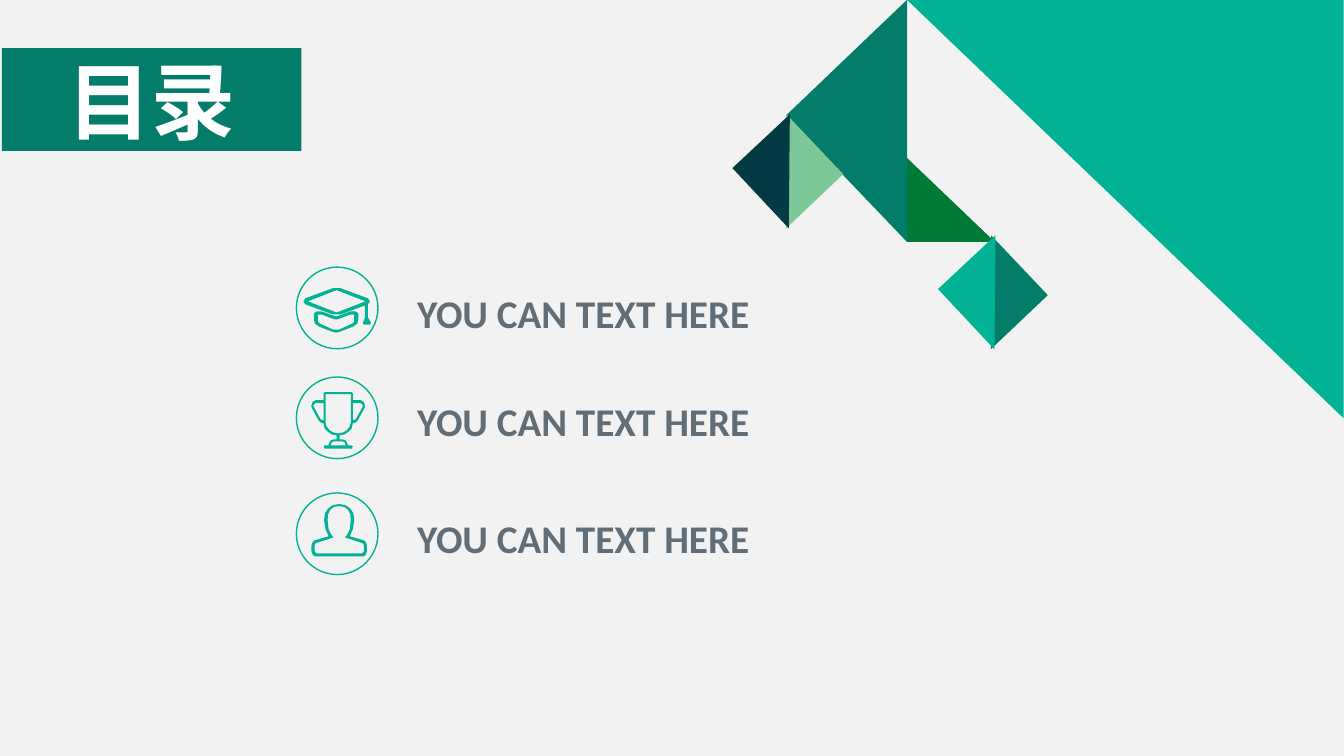
from pptx import Presentation
from pptx.dml.color import RGBColor
from pptx.enum.shapes import MSO_SHAPE as Preset
from pptx.enum.text import MSO_ANCHOR as Anchor, MSO_AUTO_SIZE as AutoSize, PP_ALIGN as Align
from pptx.util import Pt

PALE = RGBColor(0xF2, 0xF2, 0xF2)
WHITE = RGBColor(0xFF, 0xFF, 0xFF)
TEAL = RGBColor(0x02, 0xB2, 0x95)
DARK_TEAL = RGBColor(0x03, 0x7D, 0x6A)
GREEN = RGBColor(0x00, 0x7A, 0x37)
MINT = RGBColor(0x7E, 0xC7, 0x99)
NAVY = RGBColor(0x05, 0x3A, 0x44)
GREY = RGBColor(0x61, 0x6E, 0x77)


def whole(half):
    """Outline made of a right half, listed top to bottom, and its mirror."""
    return half + flipped(half)[::-1]


def flipped(points):
    return [(-x, y) for x, y in points]


# Outlines: x from the icon's axis, y from the top of its ring, in icon units
UNIT = 0.72  # points per icon unit
CAP_BASE = [
    whole([(0, 49), (3, 48), (14, 44), (19, 44), (21, 45), (22, 46), (22, 52),
           (21, 56), (17, 59), (4, 64), (0, 65)]),
    whole([(0, 52), (4, 51), (14, 47), (18, 47), (18, 54), (16, 56), (3, 62), (0, 62)]),
]
CAP_BOARD = [
    whole([(0, 21), (4, 21), (31, 31), (33, 34), (31, 37), (4, 47), (0, 47)]),
    whole([(0, 23), (3, 24), (28.5, 34), (3, 44), (0, 45)]),
    [(28, 38.1), (31, 37), (31, 50), (34, 55), (33, 57), (27, 57), (26, 56), (28, 50)],
]
HANDLE = [(14.5, 26), (22.5, 26), (24.5, 28), (24.5, 29), (17.5, 42), (14.5, 43)]
TROPHY = [
    whole([(0, 15), (13, 15), (14.5, 16), (14.5, 23), (22.5, 23), (25.5, 25),
           (26.5, 28), (26.5, 30), (19.5, 43), (17.5, 45), (14.5, 46), (13.5, 51),
           (10.5, 54), (6.5, 57), (1.5, 58), (1.5, 62), (4.5, 62), (7.5, 63),
           (9.5, 67), (9.5, 68), (13.5, 68), (14.5, 69), (13.5, 71), (0, 71)]),
    whole([(0, 17), (12.5, 17), (12.5, 45), (11.5, 49), (8.5, 53), (5, 55), (0, 56)]),
    whole([(0, 64), (4.5, 64), (6.5, 65), (7.5, 68), (0, 68)]),
    HANDLE,
    flipped(HANDLE),
]
PERSON = [
    whole([(0, 11), (6, 12), (10.5, 15), (14, 20), (15, 27), (13.5, 36), (10.5, 43),
           (24.5, 47), (26.5, 49), (27.5, 52), (27.5, 58), (26.5, 61), (24.5, 63),
           (22.5, 63), (0, 63)]),
    whole([(0, 13), (5.5, 14), (9, 17), (11, 21), (11.5, 27), (10.5, 36), (7.5, 42),
           (5.5, 44), (23.5, 50), (24.5, 52), (24.5, 58), (22.5, 60), (0, 60)]),
]

# Ring top, label top, label, icon parts as (axis, outlines)
ENTRIES = [
    (190.8, 203, "YOU CAN TEXT HERE", [(240.1, CAP_BASE), (240.5, CAP_BOARD)]),
    (269.3, 280, "YOU CAN TEXT HERE", [(241.6, TROPHY)]),
    (352.1, 363.6, "YOU CAN TEXT HERE", [(242.3, PERSON)]),
]
RING_LEFT, RING_SIZE = 211.7, 58.3
LABEL_LEFT, LABEL_WIDTH, LABEL_HEIGHT = 290.9, 311, 41

TITLE, TITLE_BOX = "目录", (1.4, 34.4, 214, 73.4)

# Left, top, width, height, rotation, colour
TRIANGLES = [
    (654.5, -6.5, 298.8, 311.8, 270, TEAL),
    (588.2, 23.8, 119.5, 125.3, 136.3, DARK_TEAL),
    (649.4, 111.6, 59.8, 62.6, 90, GREEN),
    (533.5, 92.9, 56.2, 59, 316.5, MINT),
    (535.7, 92.9, 56.2, 59, 136.9, NAVY),
    (679.7, 179.3, 56.2, 59, 316.5, DARK_TEAL),
    (682.6, 179.3, 56.2, 59, 136.9, TEAL),
]


def paint(shape, fill=None, line=None):
    shape.shadow.inherit = False
    if fill is None:
        shape.fill.background()
    else:
        shape.fill.solid()
        shape.fill.fore_color.rgb = fill
    if line is None:
        shape.line.fill.background()
    else:
        shape.line.color.rgb = line
        shape.line.width = Pt(1)


def add_preset(page, preset, bounds, fill=None, line=None):
    shape = page.shapes.add_shape(preset, *map(Pt, bounds))
    paint(shape, fill, line)
    return shape


def add_icon(page, axis, top, outlines):
    builder = None
    for outline in outlines:
        points = [(Pt(axis + x * UNIT), Pt(top + y * UNIT)) for x, y in outline]
        if builder is None:
            builder = page.shapes.build_freeform(*points[0])
        else:
            builder.move_to(*points[0])
        builder.add_line_segments(points[1:], close=True)
    paint(builder.convert_to_shape(), TEAL)


def write(shape, text, size, color, align, frame_format):
    frame = shape.text_frame
    for name, value in frame_format.items():
        setattr(frame, name, value)
    para = frame.paragraphs[0]
    para.alignment = align
    span = para.add_run()
    span.text = text
    for name, value in {"name": "Calibri", "size": Pt(size), "bold": True}.items():
        setattr(span.font, name, value)
    span.font.color.rgb = color


def main():
    deck = Presentation()
    deck.slide_width, deck.slide_height = Pt(960), Pt(540)
    page = deck.slides.add_slide(deck.slide_layouts[6])
    page.background.fill.solid()
    page.background.fill.fore_color.rgb = PALE

    for *bounds, rotation, color in TRIANGLES:
        triangle = add_preset(page, Preset.ISOSCELES_TRIANGLE, bounds, color)
        triangle.adjustments[0] = 1.0
        triangle.rotation = rotation

    banner = add_preset(page, Preset.RECTANGLE, TITLE_BOX, DARK_TEAL)
    write(banner, TITLE, 60, WHITE, Align.CENTER, {"vertical_anchor": Anchor.MIDDLE})

    for ring_top, label_top, label, icon in ENTRIES:
        add_preset(page, Preset.OVAL, (RING_LEFT, ring_top, RING_SIZE, RING_SIZE), line=TEAL)
        for axis, outlines in icon:
            add_icon(page, axis, ring_top, outlines)
        bounds = (LABEL_LEFT, label_top, LABEL_WIDTH, LABEL_HEIGHT)
        box = page.shapes.add_textbox(*map(Pt, bounds))
        write(box, label, 28, GREY, Align.LEFT,
              {"word_wrap": False, "auto_size": AutoSize.SHAPE_TO_FIT_TEXT})

    deck.save("out.pptx")


if __name__ == "__main__":
    main()
